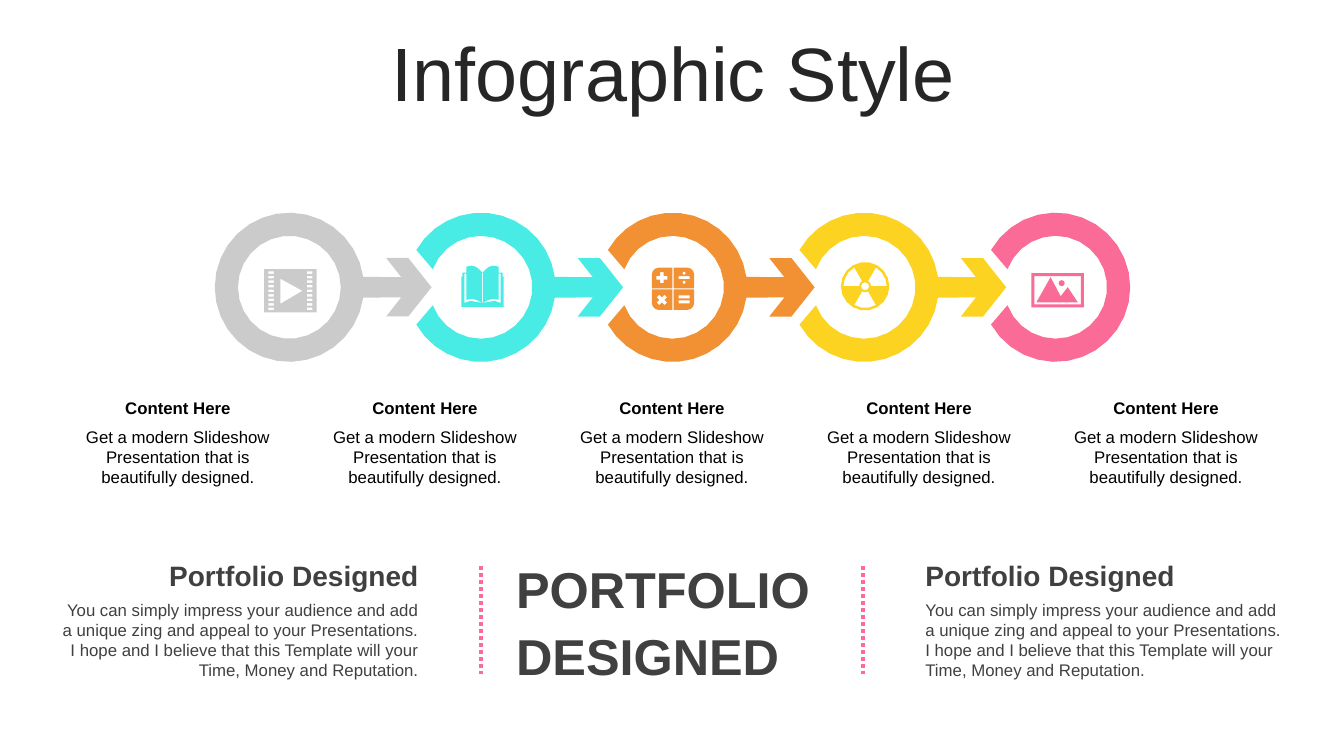
import math
import pptx
import pptx.util
import pptx.dml.color
import pptx.enum.dml
import pptx.enum.shapes
import pptx.enum.text
from lxml import etree

Inches = pptx.util.Inches
Pt = pptx.util.Pt
ALIGN = pptx.enum.text.PP_ALIGN
ANCHOR = pptx.enum.text.MSO_ANCHOR

TITLE = "Infographic Style"
COLORS = ["CBCBCB", "49ECE5", "F29034", "FDD321", "FB6B97"]
STEP_HEAD = "Content Here"
STEP_BODY = "Get a modern Slideshow Presentation that is beautifully designed."
SIDE_HEAD = "Portfolio Designed"
SIDE_BODY = ("You can simply impress your audience and add a unique zing and appeal "
             "to your Presentations. I hope and I believe that this Template will "
             "your Time, Money and Reputation.")
CENTER_HEAD = "PORTFOLIO DESIGNED"
SIDES = [(0.51, ALIGN.RIGHT), (9.08, ALIGN.LEFT)]
DIVIDERS = [4.77, 8.56]

RING_X, RING_Y, RING_STEP = 2.87, 2.85, 1.9
OUTER, INNER = 0.74, 0.51
ARROW_ANGLE = 8
ARROW = [(1.11, -0.1), (0.96, -0.29), (1.18, -0.29), (1.41, 0),
         (1.18, 0.29), (0.96, 0.29), (1.11, 0.1)]
BOOK_HALF = [(0, -0.14), (0.04, -0.18), (0.07, -0.2), (0.11, -0.21), (0.16, -0.2),
             (0.16, -0.14), (0.2, -0.14), (0.2, -0.1), (0.21, -0.1), (0.21, 0.2)]
BOOK_PAGE = [(0, 0.16), (0.06, 0.13), (0.11, 0.12), (0.16, 0.13), (0.16, -0.13),
             (0.18, -0.13), (0.18, 0.16), (0.12, 0.14), (0.06, 0.15)]


def rgb(value):
    return pptx.dml.color.RGBColor.from_string(value)


def arc(radius, start, end, cx=0, cy=0):
    step = min(45, 10 / math.sqrt(radius))
    n = math.ceil(abs(end - start) / step)
    angles = [math.radians(start + (end - start) * i / n) for i in range(n + 1)]
    return [(cx + radius * math.cos(a), cy + radius * math.sin(a)) for a in angles]


def circle(radius, cx=0, cy=0):
    return arc(radius, 0, 360, cx, cy)[:-1]


def rect(cx, cy, w, h):
    return [(cx + sx * w / 2, cy + sy * h / 2)
            for sx, sy in [(-1, -1), (1, -1), (1, 1), (-1, 1)]]


def mirror(points):
    return [(-x, y) for x, y in points]


def plus(cx, cy, angle=0):
    a, t = 0.055, 0.018
    points = [(-t, -a), (t, -a), (t, -t), (a, -t), (a, t), (t, t),
              (t, a), (-t, a), (-t, t), (-a, t), (-a, -t), (-t, -t)]
    c, s = math.cos(math.radians(angle)), math.sin(math.radians(angle))
    return [(cx + x * c - y * s, cy + x * s + y * c) for x, y in points]


def ring(is_first, is_last):
    notch = 0 if is_first else 30
    if is_last:
        outer = arc(OUTER, 180 + notch, 540 - notch)
    else:
        outer = (arc(OUTER, 180 + notch, 360 - ARROW_ANGLE) + ARROW
                 + arc(OUTER, ARROW_ANGLE, 180 - notch))
    if is_first:
        return [outer, circle(INNER)]
    return [outer + arc(INNER, 159.5, -159.5)]


def film():
    holes = [rect(x, -0.18 + 0.045 * i, 0.055, 0.025)
             for x in (-0.19, 0.19) for i in range(9)]
    return [rect(0, 0, 0.52, 0.43), [(-0.1, -0.12), (-0.1, 0.13), (0.12, 0)]] + holes


def book():
    return [BOOK_HALF + mirror(BOOK_HALF)[::-1], rect(0, 0.01, 0.01, 0.3),
            BOOK_PAGE, mirror(BOOK_PAGE)]


def calculator():
    quarter = [(0.005, 0.005), (0.21, 0.005)] + arc(0.07, 0, 90, 0.14, 0.14) + [(0.005, 0.21)]
    keys = [[(sx * x, sy * y) for x, y in quarter] for sx in (-1, 1) for sy in (-1, 1)]
    bars = [rect(0.11, y, 0.11, 0.03) for y in (-0.11, 0.08, 0.13)]
    dots = [circle(0.016, 0.11, y) for y in (-0.155, -0.065)]
    return keys + [plus(-0.11, -0.11), plus(-0.11, 0.11, 45)] + bars + dots


def radiation():
    sectors = [arc(0.215, a, a + 60) + arc(0.06, a + 60, a) for a in (60, 180, 300)]
    return [circle(0.24), circle(0.04)] + sectors


def photo():
    hills = [(-0.07, -0.13), (0.03, 0.06), (0.1, -0.03), (0.2, 0.12), (-0.21, 0.12)]
    return [rect(0, 0, 0.52, 0.34), rect(0, 0, 0.46, 0.28), hills,
            circle(0.03, 0.04, -0.07)]


ICONS = [(film, 2.88, 2.885), (book, 4.785, 2.845), (calculator, 6.675, 2.865),
         (radiation, 8.58, 2.84), (photo, 10.49, 2.88)]

prs = pptx.Presentation()
prs.slide_width, prs.slide_height = Inches(13.33), Inches(7.5)
s = prs.slides.add_slide(prs.slide_layouts[6])


def add_outline(contours, cx, cy, color):
    builder = None
    for contour in contours:
        points = [(Inches(cx + x), Inches(cy + y)) for x, y in contour]
        if builder is None:
            builder = s.shapes.build_freeform(*points[0], scale=1.0)
        else:
            builder.move_to(*points[0])
        builder.add_line_segments(points[1:], close=True)
    sp = builder.convert_to_shape()
    sp.shadow.inherit = False
    sp.fill.solid()
    sp.fill.fore_color.rgb = rgb(color)
    sp.line.fill.background()


def add_text(text, x, y, w, h, size, color, align, bold=False, anchor=ANCHOR.TOP, spacing=1.0):
    tf = s.shapes.add_textbox(Inches(x), Inches(y), Inches(w), Inches(h)).text_frame
    tf.word_wrap = True
    tf.vertical_anchor = anchor
    p = tf.paragraphs[0]
    p.text = text
    p.alignment = align
    p.line_spacing = spacing
    p.font.name = "Arial"
    p.font.size = Pt(size)
    p.font.bold = bold
    p.font.color.rgb = rgb(color)


add_text(TITLE, 0.35, 0.37, 12.66, 0.79, 54, "262626", ALIGN.CENTER,
         anchor=ANCHOR.MIDDLE, spacing=0.9)

last = len(COLORS) - 1
for i, (color, (icon, icon_x, icon_y)) in enumerate(zip(COLORS, ICONS)):
    add_outline(ring(i == 0, i == last), RING_X + RING_STEP * i, RING_Y, color)
    add_outline(icon(), icon_x, icon_y, color)
    x = 0.67 + 2.45 * i
    add_text(STEP_HEAD, x, 3.9, 2.19, 0.3, 12, "000000", ALIGN.CENTER, True, ANCHOR.MIDDLE)
    add_text(STEP_BODY, x, 4.18, 2.19, 0.71, 12, "000000", ALIGN.CENTER)

add_text(CENTER_HEAD, 5.02, 5.43, 3.29, 1.38, 36, "404040", ALIGN.JUSTIFY, True, spacing=1.1)

for x in DIVIDERS:
    line = s.shapes.add_connector(pptx.enum.shapes.MSO_CONNECTOR.STRAIGHT,
                                  Inches(x), Inches(5.62), Inches(x), Inches(6.69))
    line.line.color.rgb = rgb("FB6B97")
    line.line.width = Pt(2.5)
    line.line.dash_style = pptx.enum.dml.MSO_LINE.ROUND_DOT
    etree.SubElement(line._element.spPr, pptx.oxml.ns.qn("a:effectLst"))

for x, align in SIDES:
    add_text(SIDE_HEAD, x, 5.5, 3.74, 0.39, 20, "404040", align, True, ANCHOR.MIDDLE, 1.1)
    add_text(SIDE_BODY, x, 5.9, 3.74, 0.91, 12, "404040", align)

prs.save("out.pptx")
